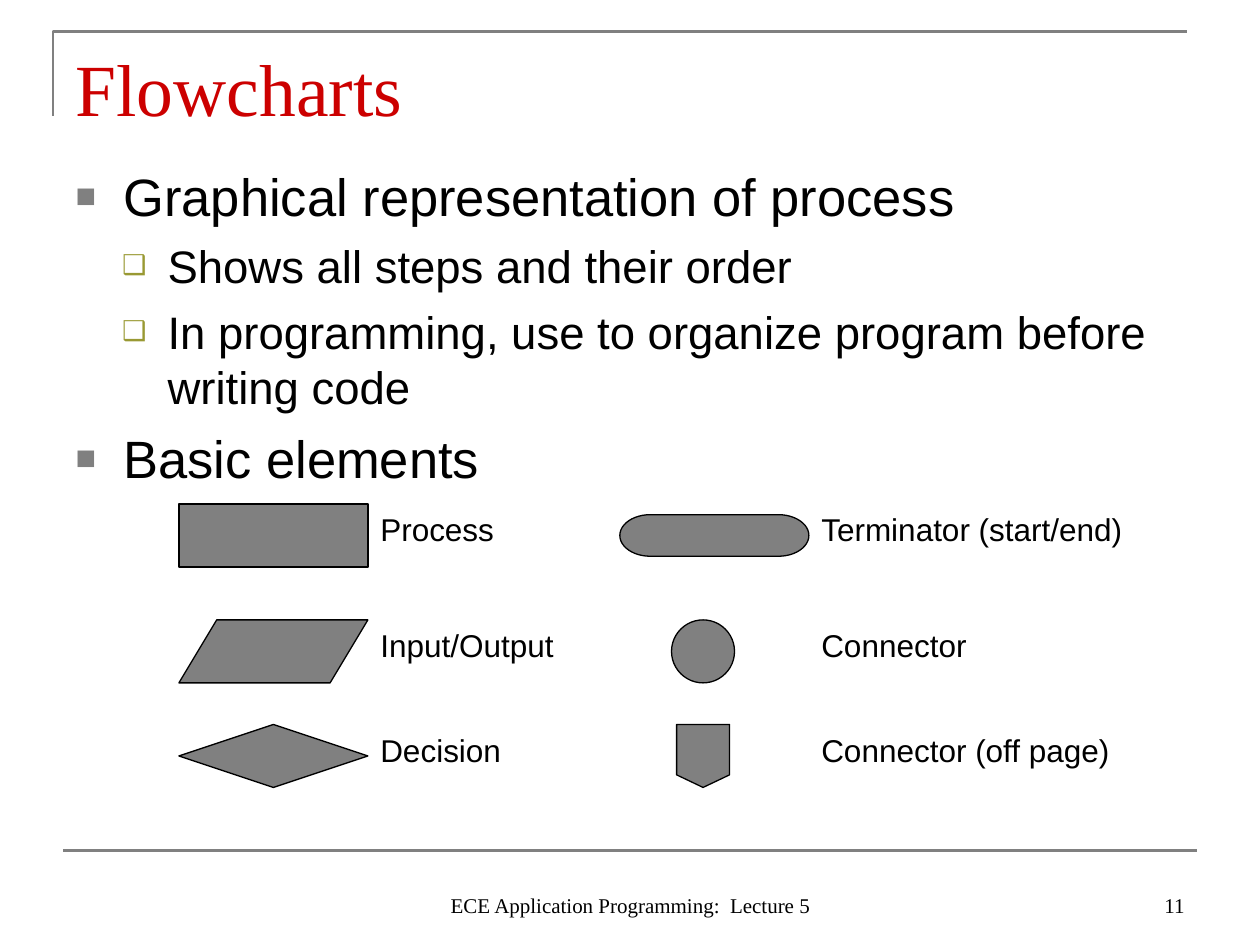
from dataclasses import dataclass

import pptx
import pptx.dml.color
import pptx.enum.shapes
import pptx.enum.text
import pptx.oxml
import pptx.oxml.ns
import pptx.util
from lxml import etree

Inches, Pt = pptx.util.Inches, pptx.util.Pt
SHAPE = pptx.enum.shapes.MSO_SHAPE
ALIGN = pptx.enum.text.PP_ALIGN
ANCHOR = pptx.enum.text.MSO_ANCHOR
AUTO = pptx.enum.text.MSO_AUTO_SIZE
qn = pptx.oxml.ns.qn


@dataclass(frozen=True)
class Theme:
    red: str = "CC0000"
    gray: str = "808080"
    olive: str = "999933"
    black: str = "000000"
    serif: str = "Times New Roman"
    sans: str = "Arial"
    title: float = 42
    label: float = 18
    footer: float = 12


THEME = Theme()

# Per list level: type size, space before, left indent, hanging, bullet, colour, bullet %
LEVELS = [
    (30, 7.5, 0.38, 0.38, "■", THEME.gray, 65),
    (26, 6.5, 0.73, 0.36, "❑", THEME.olive, 60),
]
ITEMS = [
    (0, "Graphical representation of process"),
    (1, "Shows all steps and their order"),
    (1, "In programming, use to organize program before writing code"),
    (0, "Basic elements"),
]

# Symbol grid: each cell is a symbol area with its label to the right
COLUMNS = [1.42, 4.92]
ROWS = [4, 4.92, 5.75]
CELL_W, CELL_H = 1.5, 0.5
# Column, row, preset, width, height, shift from the cell's centre, label
SYMBOLS = [
    (0, 0, SHAPE.FLOWCHART_PROCESS, CELL_W, CELL_H, 0, "Process"),
    (0, 1, SHAPE.FLOWCHART_DATA, CELL_W, CELL_H, 0, "Input/Output"),
    (0, 2, SHAPE.FLOWCHART_DECISION, CELL_W, CELL_H, 0, "Decision"),
    (1, 0, SHAPE.FLOWCHART_TERMINATOR, CELL_W, 0.33, 0, "Terminator (start/end)"),
    (1, 1, SHAPE.FLOWCHART_CONNECTOR, 0.5, CELL_H, -0.09, "Connector"),
    (1, 2, SHAPE.FLOWCHART_OFFPAGE_CONNECTOR, 0.42, CELL_H, -0.09, "Connector (off page)"),
]


def rgb(color):
    return pptx.dml.color.RGBColor.from_string(color)


def write(p, text, size, font=THEME.sans, color=THEME.black, align=ALIGN.LEFT):
    """Put formatted text into a paragraph."""
    p.alignment = align
    r = p.add_run()
    r.text = text
    r.font.size = Pt(size)
    r.font.name = font
    r.font.color.rgb = rgb(color)


def place(s, left, top, width, height):
    s.left, s.top = Inches(left), Inches(top)
    s.width, s.height = Inches(width), Inches(height)


def add_text(slide, box, text, size, anchor=ANCHOR.TOP, **style):
    sp = slide.shapes.add_textbox(*map(Inches, box))
    tf = sp.text_frame
    tf.word_wrap = True
    tf.vertical_anchor = anchor
    write(tf.paragraphs[0], text, size, **style)


def add_rule(slide, x1, y1, x2, y2):
    line = slide.shapes.add_connector(
        pptx.enum.shapes.MSO_CONNECTOR.STRAIGHT, *map(Inches, (x1, y1, x2, y2)))
    line.line.color.rgb = rgb(THEME.gray)
    line.line.width = Pt(1.5)
    etree.SubElement(line._element.spPr, qn("a:effectLst"))


def add_corner(slide, left, top, right, bottom):
    """Open corner line framing the title."""
    builder = slide.shapes.build_freeform(Inches(left), Inches(bottom))
    builder.add_line_segments(
        [(Inches(left), Inches(top)), (Inches(right), Inches(top))], close=False)
    sp = builder.convert_to_shape()
    sp.shadow.inherit = False
    sp.fill.background()
    sp.line.color.rgb = rgb(THEME.gray)
    sp.line.width = Pt(1.5)


def set_bullet(p, left, hanging, char, color, percent):
    pPr = p._p.get_or_add_pPr()
    pPr.set("marL", str(Inches(left)))
    pPr.set("indent", str(-Inches(hanging)))
    clr = etree.SubElement(pPr, qn("a:buClr"))
    etree.SubElement(clr, qn("a:srgbClr"), val=color)
    etree.SubElement(pPr, qn("a:buSzPct"), val=str(percent * 1000))
    etree.SubElement(pPr, qn("a:buFont"), typeface=THEME.sans)
    etree.SubElement(pPr, qn("a:buChar"), char=char)


def fill_title(s, text):
    place(s, 0.5, 0.3, 9, 0.78)
    tf = s.text_frame
    tf.auto_size = AUTO.NONE
    tf.vertical_anchor = ANCHOR.MIDDLE
    write(tf.paragraphs[0], text, THEME.title, font=THEME.serif, color=THEME.red)


def fill_list(s, items):
    place(s, 0.5, 1.25, 9, 5.45)
    tf = s.text_frame
    tf.auto_size = AUTO.NONE
    for i, (level, text) in enumerate(items):
        p = tf.paragraphs[0] if i == 0 else tf.add_paragraph()
        size, before, *bullet = LEVELS[level]
        p.level = level
        set_bullet(p, *bullet)
        p.space_before = Pt(before if i else 0)
        write(p, text, size)


def add_symbol(slide, col, row, preset, width, height, shift, label):
    """Flowchart symbol centred in its cell, with its label."""
    x, y = COLUMNS[col], ROWS[row]
    left = x + (CELL_W - width) / 2 + shift
    top = y + (CELL_H - height) / 2
    sp = slide.shapes.add_shape(preset, *map(Inches, (left, top, width, height)))
    sp.shadow.inherit = False
    sp.fill.solid()
    sp.fill.fore_color.rgb = rgb(THEME.gray)
    sp.line.color.rgb = rgb(THEME.black)
    sp.line.width = Pt(0.75)
    add_text(slide, (x + CELL_W, y, 2.83, 0.4), label, THEME.label)


def main():
    prs = pptx.Presentation()
    prs.slide_width, prs.slide_height = Inches(10), Inches(7.5)
    slide = prs.slides.add_slide(prs.slide_layouts[1])

    # Frame lines
    add_corner(slide, 0.42, 0.25, 9.42, 0.92)
    add_rule(slide, 0.5, 6.75, 9.5, 6.75)

    # Title and list
    fill_title(slide.shapes.title, "Flowcharts")
    fill_list(slide.placeholders[1], ITEMS)

    # Flowchart symbols
    for symbol in SYMBOLS:
        add_symbol(slide, *symbol)

    # Footer and page number
    footer = dict(size=THEME.footer, font=THEME.serif, anchor=ANCHOR.BOTTOM)
    add_text(slide, (3.42, 6.83, 3.17, 0.5), "ECE Application Programming:  Lecture 5",
             align=ALIGN.CENTER, **footer)
    add_text(slide, (7.17, 6.83, 2.33, 0.5), "11", align=ALIGN.RIGHT, **footer)

    prs.save("out.pptx")


if __name__ == "__main__":
    main()
